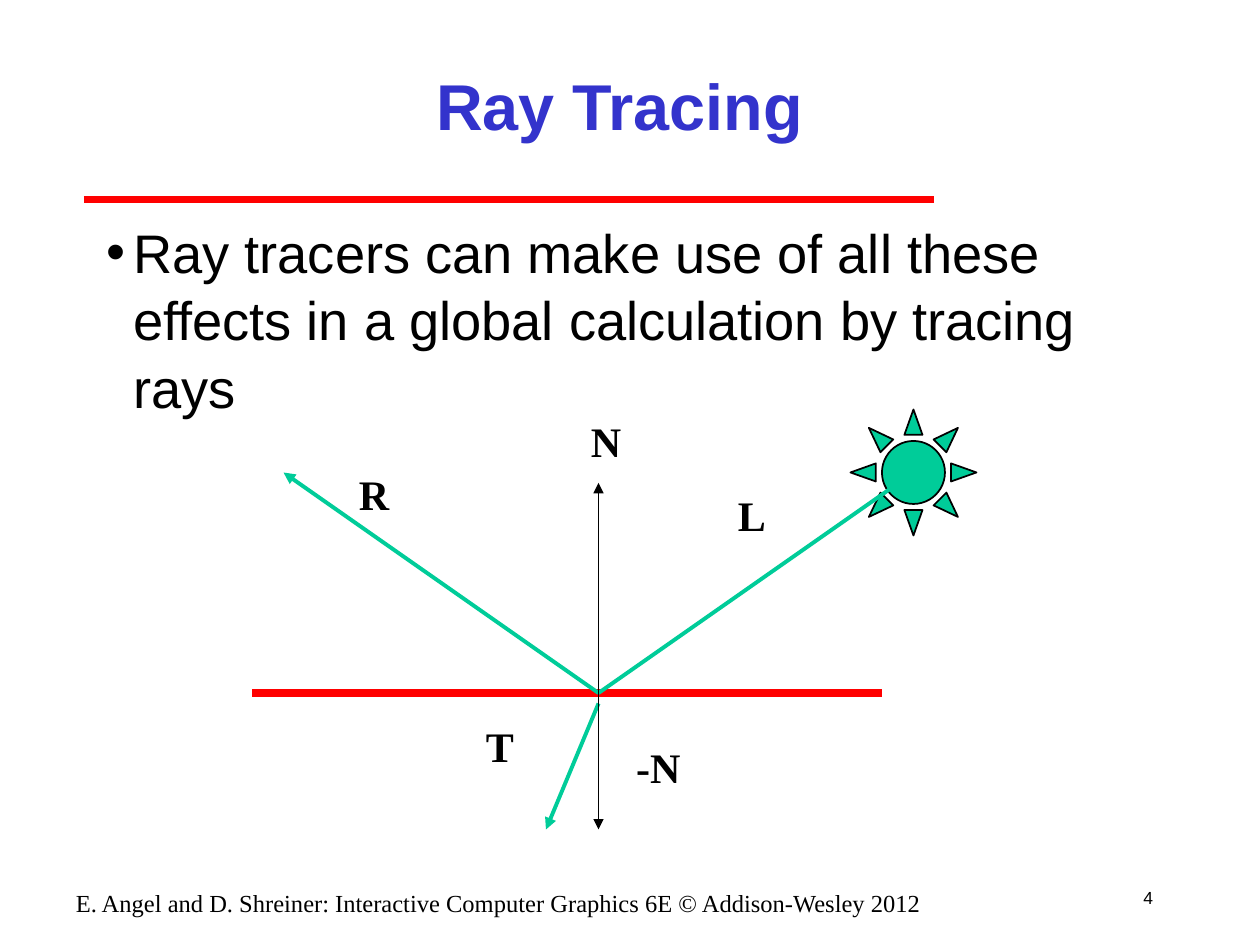
from lxml.etree import SubElement
from pptx import Presentation
from pptx.dml.color import RGBColor
from pptx.enum.shapes import MSO_CONNECTOR, MSO_SHAPE
from pptx.enum.text import MSO_ANCHOR, MSO_AUTO_SIZE, PP_ALIGN
from pptx.oxml.ns import qn
from pptx.util import Inches, Pt

THEME = {
    "title": ("Arial", 37, "3333CC", True),
    "body": ("Arial", 31, "000000", False),
    "number": ("Arial", 10, "000000", False),
    "footer": ("Times New Roman", 14, "000000", False),
    "label": ("Times New Roman", 24, "000000", True),
    "rule": "FF0000",
    "ray": "00CC99",
    "ink": "000000",
}

prs = Presentation()
prs.slide_width, prs.slide_height = Inches(10), Inches(7.5)
COL, ROW = prs.slide_width / 120, prs.slide_height / 90
s = prs.slides.add_slide(prs.slide_layouts[6])


def add_line(start, end, color, width, ends=()):
    (x1, y1), (x2, y2) = start, end
    cx = s.shapes.add_connector(
        MSO_CONNECTOR.STRAIGHT,
        int(x1 * COL), int(y1 * ROW), int(x2 * COL), int(y2 * ROW),
    )
    cx.line.color.rgb = RGBColor.from_string(THEME[color])
    cx.line.width = Pt(width)
    ln = cx.line._get_or_add_ln()
    for name in ends:
        SubElement(ln, qn(f"a:{name}"), type="triangle")
    SubElement(cx._element.spPr, qn("a:effectLst"))


def add_text(text, style, x, y, w, h, align=PP_ALIGN.LEFT, anchor=MSO_ANCHOR.TOP, wrap=True):
    tb = s.shapes.add_textbox(int(x * COL), int(y * ROW), int(w * COL), int(h * ROW))
    tf = tb.text_frame
    tf.word_wrap = wrap
    tf.vertical_anchor = anchor
    p = tf.paragraphs[0]
    p.alignment = align
    r = p.add_run()
    r.text = text
    name, size, color, bold = THEME[style]
    r.font.name, r.font.size, r.font.bold = name, Pt(size), bold
    r.font.color.rgb = RGBColor.from_string(color)
    return tf


add_line((8, 19), (89, 19), "rule", 4)
add_text("4", "number", 106, 83, 5, 5, PP_ALIGN.RIGHT, MSO_ANCHOR.MIDDLE, False)
add_text(
    "E. Angel and D. Shreiner: Interactive Computer Graphics 6E © Addison-Wesley 2012",
    "footer", 6, 84, 83, 3, PP_ALIGN.CENTER,
)
add_text("Ray Tracing", "title", 18, 3, 82, 14, PP_ALIGN.CENTER, MSO_ANCHOR.MIDDLE)

tf = add_text(
    "Ray tracers can make use of all these effects in a global calculation by tracing rays",
    "body", 9, 20, 102, 62,
)
p = tf.paragraphs[0]
p.line_spacing = 1.04
pPr = p._p.get_or_add_pPr()
pPr.set("marL", str(Inches(0.21)))
pPr.set("indent", str(-Inches(0.21)))
SubElement(pPr, qn("a:buFont"), typeface="Arial")
SubElement(pPr, qn("a:buChar"), char="•")

add_line((24, 66), (84, 66), "rule", 4.5)

sun = s.shapes.add_shape(MSO_SHAPE.SUN, int(81 * COL), int(39 * ROW), int(12 * COL), int(12 * ROW))
sun.shadow.inherit = False
sun.fill.solid()
sun.fill.fore_color.rgb = RGBColor.from_string(THEME["ray"])
sun.line.color.rgb = RGBColor.from_string(THEME["ink"])
sun.line.width = Pt(1)

hit = (57, 66)
for source in ((87, 45), (27, 45)):
    add_line(source, hit, "ray", 2.25, ["headEnd"])
add_line((57, 67), (52, 79), "ray", 2.25, ["tailEnd"])
add_line((57, 79), (57, 46), "ink", 1, ["headEnd", "tailEnd"])

for text, x, y, w in (
    ("R", 33, 44, 5.3),
    ("N", 55.1, 39, 5.3),
    ("-N", 59.4, 70, 6.6),
    ("L", 69.1, 46, 5),
    ("T", 45.1, 68, 5),
):
    tf = add_text(text, "label", x, y, w, 6, wrap=False)
    tf.auto_size = MSO_AUTO_SIZE.SHAPE_TO_FIT_TEXT

prs.save("out.pptx")
